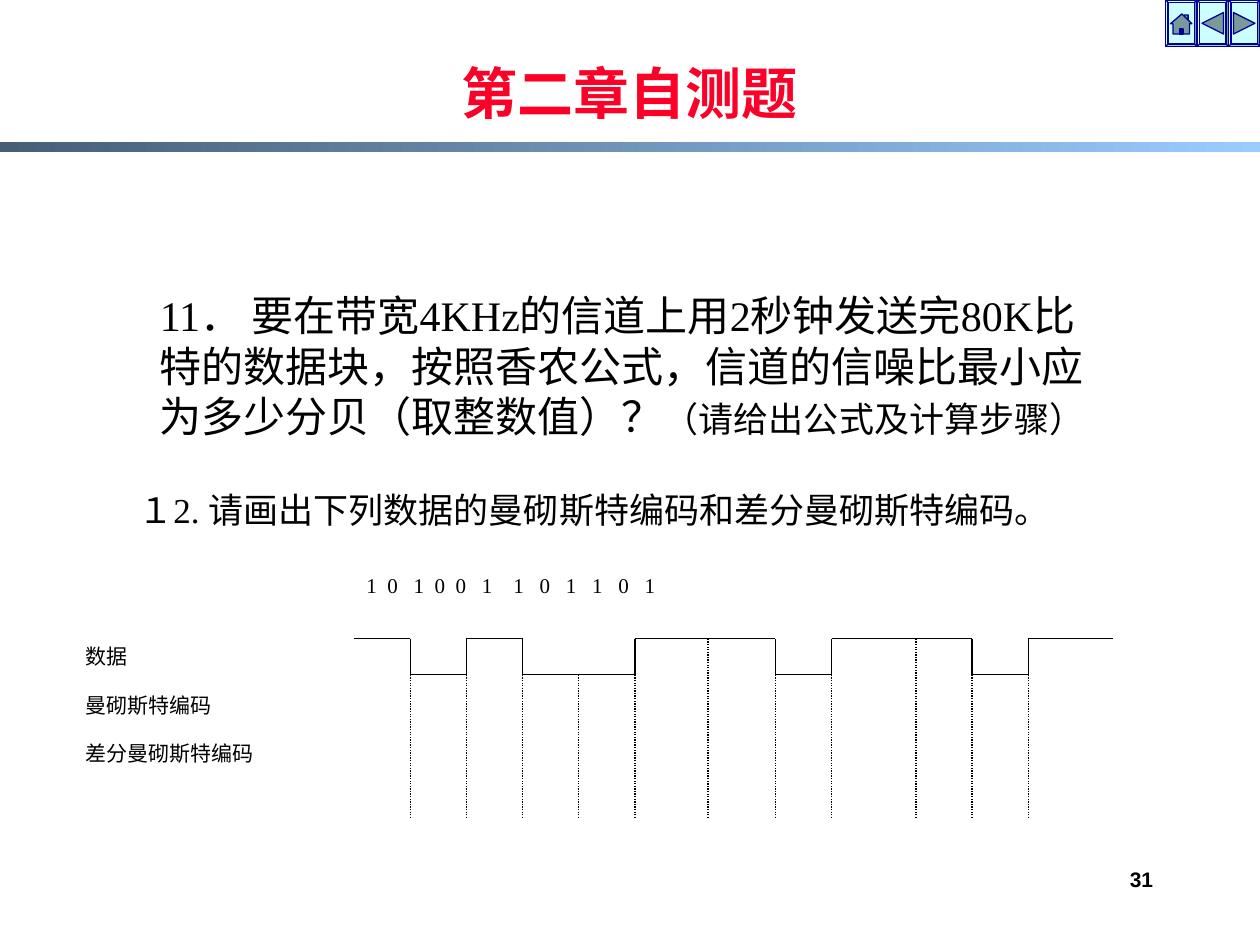
from dataclasses import dataclass
from itertools import accumulate

from lxml import etree
from pptx import Presentation
from pptx.dml.color import RGBColor
from pptx.enum.dml import MSO_LINE
from pptx.enum.shapes import MSO_CONNECTOR, MSO_SHAPE
from pptx.enum.text import MSO_ANCHOR, PP_ALIGN
from pptx.oxml.ns import qn
from pptx.util import Inches, Pt

RECTANGLE, BEVEL = MSO_SHAPE.RECTANGLE, MSO_SHAPE.BEVEL
STRAIGHT, DOTTED = MSO_CONNECTOR.STRAIGHT, MSO_LINE.ROUND_DOT
TOP, BOTTOM = MSO_ANCHOR.TOP, MSO_ANCHOR.BOTTOM
LEFT, CENTER, RIGHT, JUSTIFY = PP_ALIGN.LEFT, PP_ALIGN.CENTER, PP_ALIGN.RIGHT, PP_ALIGN.JUSTIFY

WIDTH, HEIGHT = 10, 7.5
BLACK, WHITE, RED, NAVY = "000000", "FFFFFF", "FC0128", "000099"
BUTTON_FILL, ICON_FILL = "CCFFFF", "7A9999"
SERIF, SANS = "Times New Roman", "Arial"

# Timing diagram grid: one column per bit, high level on row 0, low on row 1
GRID_LEFT, GRID_TOP = 2.81, 5.07
COLUMN, ROW = 6.02 / 13.5, 1.43 / 5
EDGES = [0, 1, 2, 3, 5, 7.5, 8.5, 11, 12, 13.5]
GUIDES = [(1, 1), (2, 1), (3, 1), (4, 1), (5, 1), (6.3, 0),
          (7.5, 1), (8.5, 1), (10, 0), (11, 1), (12, 1)]

# Gaps between the digits, counted in spaces of a quarter em
BITS = "101001101101"
BIT_GAPS = [2, 3, 2, 2, 3, 4, 3, 3, 3, 3, 3]
BIT_SIZE = 12


@dataclass
class Run:
    text: str
    size: float
    font: str = SERIF
    color: str = BLACK
    bold: bool = False


@dataclass
class Box:
    left: float
    top: float
    width: float
    height: float


@dataclass
class Button:
    """Outlines are in shares of the button's width and height."""
    left: float
    outlines: list


def color_of(value: str) -> RGBColor:
    return RGBColor.from_string(value)


def lengths(box: Box) -> list:
    return [Inches(value) for value in (box.left, box.top, box.width, box.height)]


def grid_box(column: float, row: float, columns: float, rows: float) -> Box:
    return Box(GRID_LEFT + column * COLUMN, GRID_TOP + row * ROW, columns * COLUMN, rows * ROW)


def paint(shape, fill: str, line: str | None = None) -> None:
    shape.shadow.inherit = False
    shape.fill.solid()
    shape.fill.fore_color.rgb = color_of(fill)
    if line:
        shape.line.color.rgb = color_of(line)
        shape.line.width = Pt(0.75)
    else:
        shape.line.fill.background()


def write(shape, paragraphs: list, anchor=TOP, **formats) -> None:
    frame = shape.text_frame
    frame.word_wrap = True
    frame.vertical_anchor = anchor
    for index, runs in enumerate(paragraphs):
        paragraph = frame.paragraphs[0] if index == 0 else frame.add_paragraph()
        for name, value in formats.items():
            if index or name != "space_before":
                setattr(paragraph, name, value)
        for item in runs:
            run = paragraph.add_run()
            run.text = item.text
            values = {"size": Pt(item.size), "name": item.font, "bold": item.bold}
            for name, value in values.items():
                setattr(run.font, name, value)
            run.font.color.rgb = color_of(item.color)


def add_text(slide, box: Box, runs: list, anchor=TOP, **formats) -> None:
    write(slide.shapes.add_textbox(*lengths(box)), [runs], anchor, **formats)


def add_panel(slide, box: Box, paragraphs: list, **formats):
    panel = slide.shapes.add_shape(RECTANGLE, *lengths(box))
    paint(panel, WHITE)
    write(panel, paragraphs, **formats)
    return panel


def add_grid_line(slide, start: tuple, end: tuple, dash=None) -> None:
    points = [Inches(value) for column, row in (start, end)
              for value in (GRID_LEFT + column * COLUMN, GRID_TOP + row * ROW)]
    line = slide.shapes.add_connector(STRAIGHT, *points)
    line.line.color.rgb = color_of(BLACK)
    line.line.width = Pt(0.75)
    if dash:
        line.line.dash_style = dash
    etree.SubElement(line._element.spPr, qn("a:effectLst"))


def add_button(slide, button: Button) -> None:
    box = Box(button.left, 0, 0.25, 0.37)
    frame = slide.shapes.add_shape(BEVEL, *lengths(box))
    frame.adjustments[0] = 0.08
    paint(frame, BUTTON_FILL, NAVY)
    for outline, fill in button.outlines:
        points = [(Inches(box.left + x * box.width), Inches(y * box.height)) for x, y in outline]
        builder = slide.shapes.build_freeform(*points[0])
        builder.add_line_segments(points[1:], close=True)
        paint(builder.convert_to_shape(), fill, NAVY)


def add_rule(slide) -> None:
    rule = slide.shapes.add_shape(RECTANGLE, *lengths(Box(0, 1.13, WIDTH, 0.08)))
    paint(rule, WHITE)
    rule.fill.gradient()
    rule.fill.gradient_angle = 0
    for stop, value in zip(rule.fill.gradient_stops, ("475E76", "99CCFF")):
        stop.color.rgb = color_of(value)


def add_bits(slide) -> None:
    panel = add_panel(slide, grid_box(0, -2, 13.5, 1.5),
                      [[Run("\t".join(BITS), BIT_SIZE)]], alignment=LEFT)
    properties = panel.text_frame.paragraphs[0]._p.get_or_add_pPr()
    tabs = etree.SubElement(properties, qn("a:tabLst"))
    for position in accumulate(BIT_SIZE * (0.5 + gap / 4) for gap in BIT_GAPS):
        etree.SubElement(tabs, qn("a:tab"), pos=str(int(Pt(position))), algn="l")


def add_diagram(slide) -> None:
    # Data signal: the level flips at each edge
    for index, (start, end) in enumerate(zip(EDGES, EDGES[1:])):
        level = index % 2
        if index:
            add_grid_line(slide, (start, 1 - level), (start, level))
        add_grid_line(slide, (start, level), (end, level))
    # Bit boundaries
    for column, row in GUIDES:
        add_grid_line(slide, (column, row), (column, 5), DOTTED)
    # Row labels and bit values
    labels = ["数据", "曼砌斯特编码", "差分曼砌斯特编码"]
    add_panel(slide, grid_box(-5, 0, 5, 5), [[Run(label, 12)] for label in labels],
              alignment=JUSTIFY, line_spacing=0.96, space_before=Pt(14))
    add_bits(slide)


def main() -> None:
    presentation = Presentation()
    presentation.slide_width, presentation.slide_height = Inches(WIDTH), Inches(HEIGHT)
    slide = presentation.slides.add_slide(presentation.slide_layouts[6])

    # Rule below the title and navigation buttons
    add_rule(slide)
    house = [(0.52, 0.3), (0.84, 0.51), (0.76, 0.51), (0.76, 0.73),
             (0.24, 0.73), (0.24, 0.51), (0.16, 0.51)]
    chimney = [(0.6, 0.36), (0.6, 0.32), (0.72, 0.32), (0.72, 0.43)]
    door = [(0.44, 0.62), (0.56, 0.62), (0.56, 0.73), (0.44, 0.73)]
    back = [(0.16, 0.5), (0.84, 0.27), (0.84, 0.73)]
    forward = [(1 - x, y) for x, y in back]
    for button in (Button(9.75, [(forward, ICON_FILL)]),
                   Button(9.5, [(back, ICON_FILL)]),
                   Button(9.25, [(chimney, ICON_FILL), (house, ICON_FILL), (door, NAVY)])):
        add_button(slide, button)

    # Page number, title and questions
    add_text(slide, Box(7.17, 6.83, 2.08, 0.5), [Run("31", 12, SANS, bold=True)], alignment=RIGHT)
    add_text(slide, Box(1.08, 0.13, 7.83, 0.92), [Run("第二章自测题", 32, SANS, RED, True)],
             BOTTOM, alignment=CENTER, line_spacing=1.5)
    add_text(slide, Box(1.17, 2.25, 7.67, 1.63), [
        Run("11． 要在带宽4KHz的信道上用2秒钟发送完80K比特的数据块，"
            "按照香农公式，信道的信噪比最小应为多少分贝（取整数值）？", 24),
        Run("（请给出公式及计算步骤）", 20)])
    add_text(slide, Box(1, 3.83, 8.17, 0.43),
             [Run("１2. 请画出下列数据的曼砌斯特编码和差分曼砌斯特编码。", 20)])

    add_diagram(slide)
    presentation.save("out.pptx")


if __name__ == "__main__":
    main()
